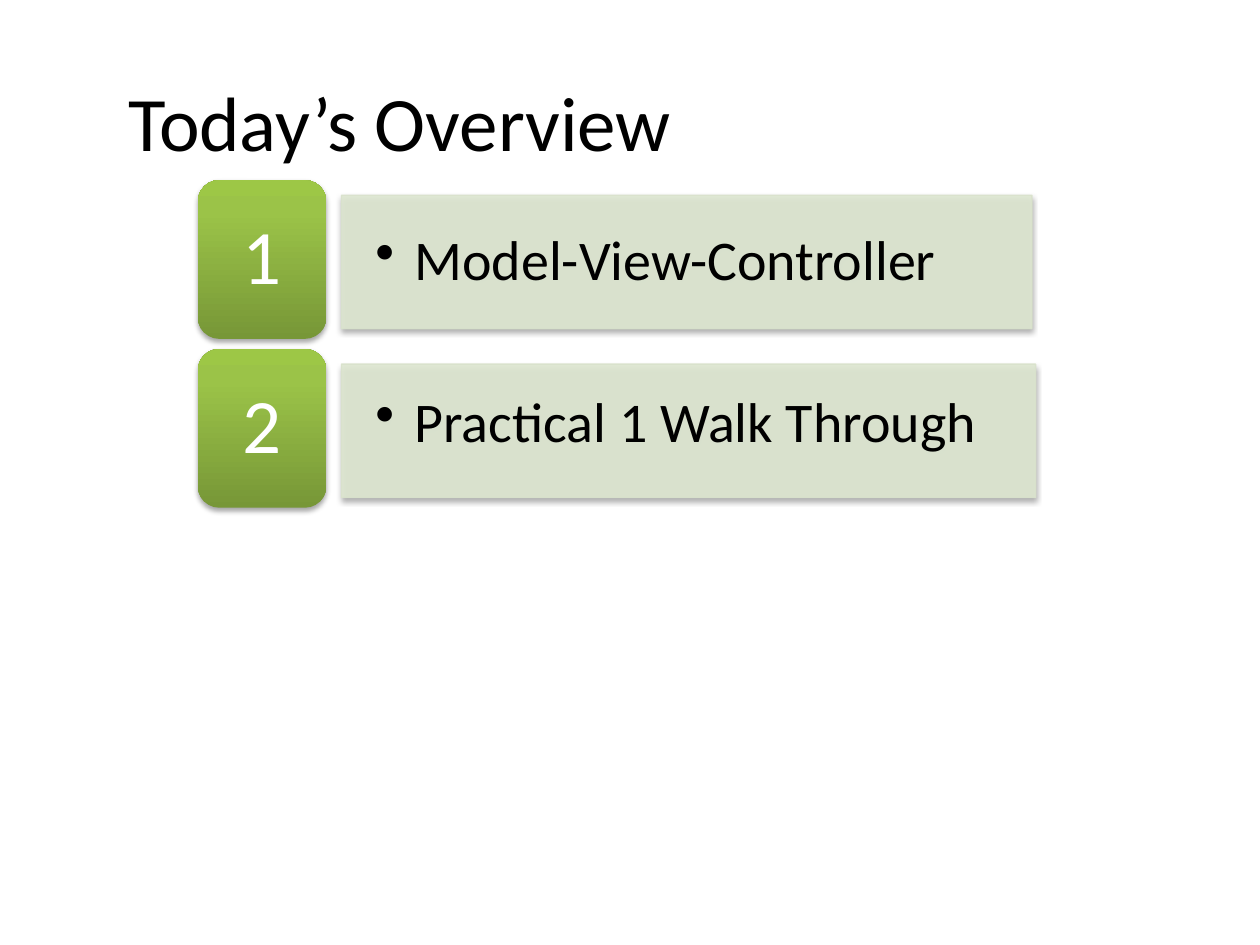
from pptx import Presentation
from pptx.util import Inches, Pt
from pptx.dml.color import RGBColor
from pptx.enum.shapes import MSO_SHAPE as Shape
from pptx.enum.text import MSO_ANCHOR as Anchor, PP_ALIGN as Align
from pptx.oxml import parse_xml
from pptx.oxml.ns import nsdecls, qn
from copy import deepcopy

COLORS = {
    "text": "000000", "number": "FFFFFF",
    "bar": "DEE7D1", "bar_line": "D9E2CC",
    "green_dark": "779737", "green": "9BC348", "green_light": "9DC746",
}
GRADIENT = [(0, "green_dark"), (0.8, "green"), (1, "green_light")]
TITLE = {"size": 44, "color": "text"}
NUMBER = {"size": 44, "color": "number", "align": Align.CENTER, "spacing": 0.9, "after": 15}
TOPIC = {"size": 32, "color": "text", "align": Align.LEFT, "spacing": 0.9, "after": 5}
TOPICS = [
    ("Model-View-Controller", 5.48, 0.14),
    ("Practical 1 Walk Through", 5.51, 0.24),
]
ROW_TOP, ROW_PITCH = 1.43, 1.34


def color(name):
    return RGBColor.from_string(COLORS[name])


def write(shape, text, style, margins):
    frame = shape.text_frame
    left, top, right, bottom = map(Inches, margins)
    frame_format = {
        "word_wrap": True, "vertical_anchor": Anchor.MIDDLE,
        "margin_left": left, "margin_top": top,
        "margin_right": right, "margin_bottom": bottom,
    }
    for name, value in frame_format.items():
        setattr(frame, name, value)
    paragraph = frame.paragraphs[0]
    paragraph_format = {
        "alignment": style.get("align"),
        "line_spacing": style.get("spacing"),
        "space_after": Pt(style.get("after", 0)),
    }
    for name, value in paragraph_format.items():
        setattr(paragraph, name, value)
    run = paragraph.add_run()
    run.text = text
    for name, value in {"name": "Calibri", "size": Pt(style["size"])}.items():
        setattr(run.font, name, value)
    run.font.color.rgb = color(style["color"])
    return paragraph


def add_bullet(paragraph):
    properties = paragraph._p.get_or_add_pPr()
    properties.set("marL", str(Inches(0.31)))
    properties.set("indent", str(Inches(-0.31)))
    properties.append(parse_xml(f'<a:buChar {nsdecls("a")} char="•"/>'))


def add_shadow(shape):
    shape.shadow.inherit = False
    effects = shape._element.spPr.find(qn("a:effectLst"))
    effects.append(parse_xml(
        f'<a:outerShdw {nsdecls("a")} blurRad="{Pt(3.1)}" dist="{Pt(1.8)}" '
        'dir="5400000" rotWithShape="0"><a:srgbClr val="000000">'
        '<a:alpha val="35000"/></a:srgbClr></a:outerShdw>'))


def set_translucent(shape):
    for element in shape._element.spPr.iter(qn("a:srgbClr")):
        element.append(parse_xml(f'<a:alpha {nsdecls("a")} val="90000"/>'))


def add_title(slide, left, top, width, height):
    box = slide.shapes.add_textbox(*map(Inches, (left, top, width, height)))
    write(box, "Today’s Overview", TITLE, (0.1, 0.05, 0.1, 0.05))


def add_topic_bar(slide, left, top, width, height, text, bottom_margin):
    bar = slide.shapes.add_shape(
        Shape.RECTANGLE, *map(Inches, (left, top, width, height)))
    bar.fill.solid()
    bar.fill.fore_color.rgb = color("bar")
    bar.line.color.rgb = color("bar_line")
    bar.line.width = Pt(0.75)
    set_translucent(bar)
    add_shadow(bar)
    add_bullet(write(bar, text, TOPIC, (0.27, 0.14, 0.27, bottom_margin)))


def add_number_tile(slide, left, top, width, height, number):
    tile = slide.shapes.add_shape(
        Shape.ROUNDED_RECTANGLE, *map(Inches, (left, top, width, height)))
    tile.fill.gradient()
    tile.fill.gradient_angle = 90
    stops = tile._element.spPr.find(qn("a:gradFill")).find(qn("a:gsLst"))
    stops.append(deepcopy(stops[-1]))
    for stop, (position, name) in zip(tile.fill.gradient_stops, GRADIENT):
        stop.position = position
        stop.color.rgb = color(name)
    tile.line.fill.background()
    add_shadow(tile)
    write(tile, str(number), NUMBER, (0.18, 0.09, 0.18, 0.09))


def add_topic_row(slide, left, top, number, topic):
    text, bar_width, bottom_margin = topic
    add_topic_bar(slide, left + 1.14, top + 0.12, bar_width, 1.06, text, bottom_margin)
    add_number_tile(slide, left, top, 1.02, 1.26, number)


def main():
    presentation = Presentation()
    presentation.slide_width = Inches(10)
    presentation.slide_height = Inches(7.5)
    slide = presentation.slides.add_slide(presentation.slide_layouts[6])
    add_title(slide, 0.92, 0.33, 8.83, 1.25)
    for index, topic in enumerate(TOPICS):
        add_topic_row(slide, 1.57, ROW_TOP + index * ROW_PITCH, index + 1, topic)
    presentation.save("out.pptx")


if __name__ == "__main__":
    main()
